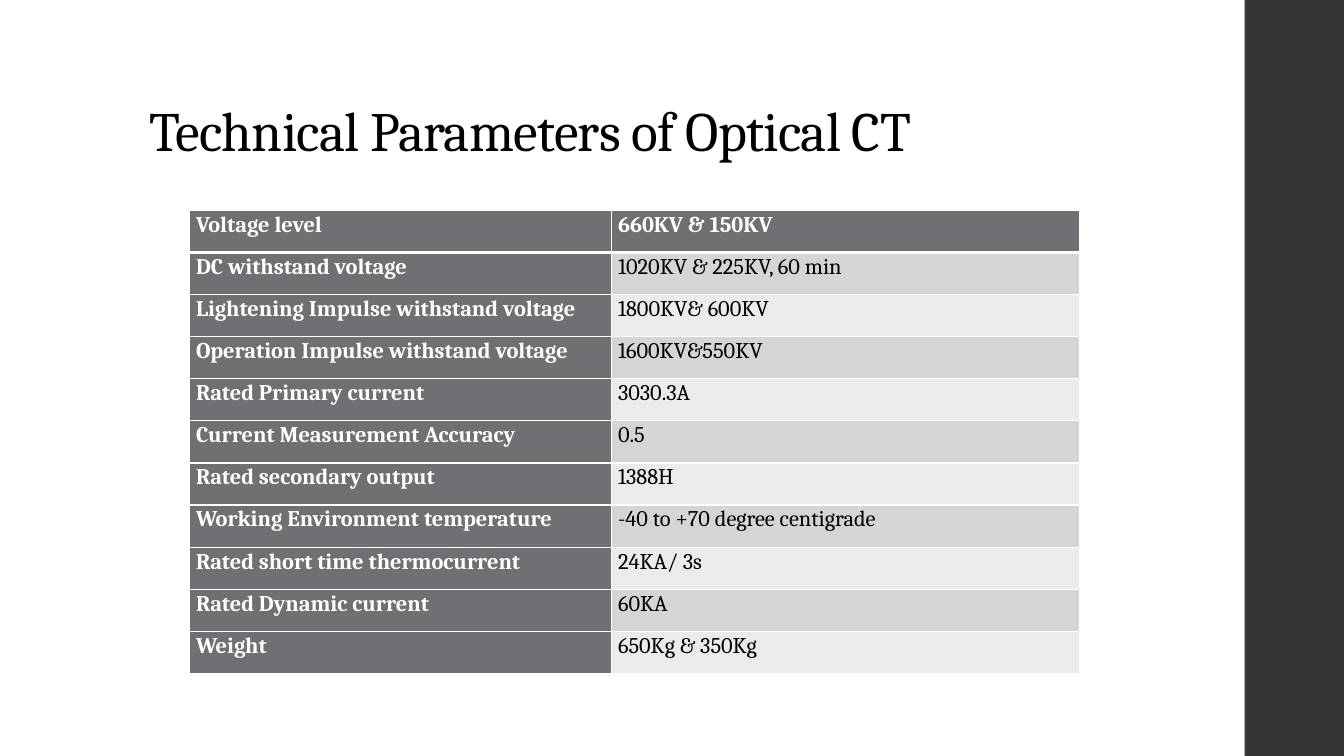
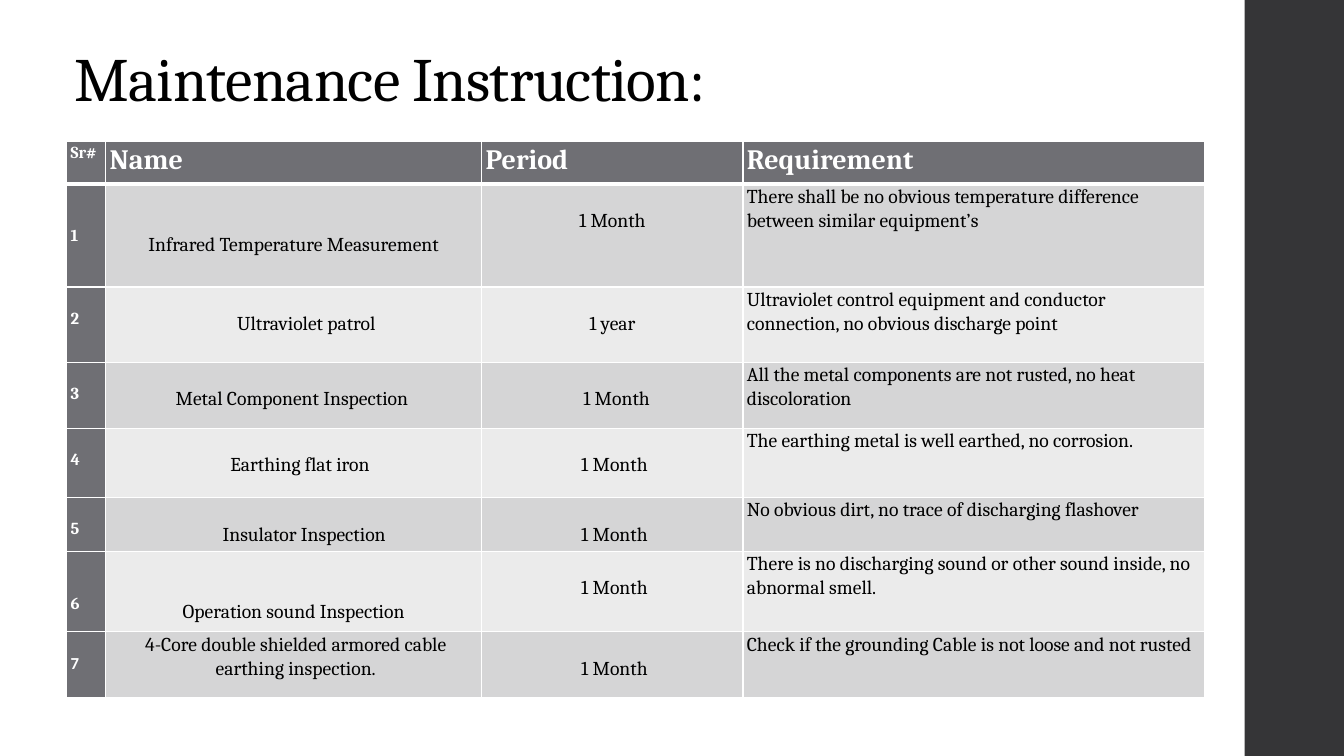
import pptx
import pptx.util
import pptx.dml.color
import pptx.enum.shapes
import pptx.enum.text
import pptx.oxml
import pptx.oxml.ns
from collections import namedtuple

Pt = pptx.util.Pt
ALIGN = pptx.enum.text.PP_ALIGN
ANCHOR = pptx.enum.text.MSO_ANCHOR

COLORS = {
    "paper": "FFFFFF",
    "ink": "000000",
    "band": "353537",
    "head": "6F6F74",
    "odd": "D5D5D6",
    "even": "EBEBEB",
}

STYLES = {
    "label": {"name": "Cambria", "size": Pt(16), "bold": True},
    "value": {"name": "Cambria", "size": Pt(16), "bold": False},
    "heading": {"name": "Cambria", "size": Pt(20), "bold": True},
    "index": {"name": "Cambria", "size": Pt(12), "bold": True},
    "plain_index": {"name": "Calibri", "size": Pt(12), "bold": True},
    "centred": {"name": "Cambria", "size": Pt(14), "bold": False},
    "detail": {"name": "Cambria", "size": Pt(14), "bold": False},
}
DARK_STYLES = {"label", "heading", "index", "plain_index"}
LINE_FACTOR = 1.235

Entry = namedtuple("Entry", "text style lines_down shift", defaults=(0, 0))

PARAMETERS = [
    ("Voltage level", "660KV & 150KV"),
    ("DC withstand voltage", "1020KV & 225KV, 60 min"),
    ("Lightening Impulse withstand voltage", "1800KV& 600KV"),
    ("Operation Impulse withstand voltage", "1600KV&550KV"),
    ("Rated Primary current", "3030.3A"),
    ("Current Measurement Accuracy", "0.5"),
    ("Rated secondary output", "1388H"),
    ("Working Environment temperature", "-40 to +70 degree centigrade"),
    ("Rated short time thermocurrent", "24KA/ 3s"),
    ("Rated Dynamic current", "60KA"),
    ("Weight", "650Kg & 350Kg"),
]

INSTRUCTIONS = [
    (Entry("1", "index", 2),
     Entry("Infrared Temperature Measurement", "centred", 2),
     Entry("1 Month", "centred", 1),
     "There shall be no obvious temperature difference between similar equipment’s"),
    (Entry("2", "index", 1),
     Entry("Ultraviolet patrol", "centred", 1, 18),
     Entry("1 year", "centred", 1),
     "Ultraviolet control equipment and conductor connection, no obvious discharge point"),
    (Entry("3", "index", 1),
     Entry("Metal Component Inspection", "centred", 1, -2.5),
     Entry("1 Month", "centred", 1, 6),
     "All the metal components are not rusted, no heat discoloration"),
    (Entry("4", "index", 1),
     Entry("Earthing flat iron", "centred", 1, 9),
     Entry("1 Month", "centred", 1, 3),
     "The earthing metal is well earthed, no corrosion."),
    (Entry("5", "index", 1),
     Entry("Insulator Inspection", "centred", 1, 15),
     Entry("1 Month", "centred", 1, 3),
     "No obvious dirt, no trace of discharging flashover"),
    (Entry("6", "index", 2),
     Entry("Operation sound Inspection", "centred", 2),
     Entry("1 Month", "centred", 1, 3),
     "There is no discharging sound or other sound inside, no abnormal smell."),
    (Entry("7", "plain_index", 1),
     Entry("4-Core double shielded armored cable earthing inspection.", "centred", 0, 3),
     Entry("1 Month", "centred", 1, 3),
     "Check if the grounding Cable is not loose and not rusted"),
]


def color(name):
    return pptx.dml.color.RGBColor.from_string(COLORS[name])


def apply_format(target, values):
    for name, value in values.items():
        setattr(target, name, value)


def paint(target, name):
    target.fill.solid()
    target.fill.fore_color.rgb = color(name)


def add_side_band(deck, page):
    band = page.shapes.add_shape(
        pptx.enum.shapes.MSO_SHAPE.RECTANGLE, Pt(889), Pt(0), Pt(71), Pt(540))
    band.shadow.inherit = False
    paint(band, "band")
    band.line.fill.background()
    deck.slide_master.shapes.element.insert(2, band.element)


def add_title(page, text, size, left, top, width, height):
    title = page.shapes.title
    apply_format(title, {"left": Pt(left), "top": Pt(top),
                         "width": Pt(width), "height": Pt(height)})
    frame = title.text_frame
    apply_format(frame, {"word_wrap": True, "vertical_anchor": ANCHOR.BOTTOM,
                         "auto_size": pptx.enum.text.MSO_AUTO_SIZE.NONE})
    para = frame.paragraphs[0]
    apply_format(para, {"alignment": ALIGN.LEFT, "line_spacing": 0.9})
    span = para.add_run()
    span.text = text
    apply_format(span.font, {"name": "Cambria", "size": Pt(size), "bold": False})
    span.font.color.rgb = color("ink")
    span.font._element.set("spc", "-50")


def add_borders(cell, widths):
    properties = cell._tc.get_or_add_tcPr()
    for position, (side, width) in enumerate(widths.items()):
        border = pptx.oxml.parse_xml(
            f'<a:ln{side} {pptx.oxml.ns.nsdecls("a")} w="{Pt(width)}"><a:solidFill>'
            f'<a:srgbClr val="{COLORS["paper"]}"/></a:solidFill></a:ln{side}>')
        properties.insert(position, border)


def fill_cell(cell, entry, row, inset):
    style = STYLES[entry.style]
    is_dark = row == 0 or entry.style in DARK_STYLES
    drop = entry.lines_down * style["size"].pt * LINE_FACTOR
    apply_format(cell, {"margin_left": Pt(inset + entry.shift), "margin_right": Pt(inset),
                        "margin_top": Pt(drop), "margin_bottom": Pt(0),
                        "vertical_anchor": ANCHOR.TOP})
    paint(cell, "head" if is_dark else "odd" if row % 2 else "even")
    add_borders(cell, {"L": 1, "R": 1, "T": 3 if row == 1 else 1, "B": 3 if row == 0 else 1})
    para = cell.text_frame.paragraphs[0]
    apply_format(para, {"line_spacing": 1.07,
                        "alignment": ALIGN.CENTER if entry.style == "centred" else ALIGN.LEFT})
    span = para.add_run()
    span.text = entry.text
    apply_format(span.font, style)
    span.font.color.rgb = color("paper" if is_dark else "ink")


def add_grid(page, entries, left, top, widths, heights, inset):
    grid = page.shapes.add_table(len(heights), len(widths), Pt(left), Pt(top),
                                 Pt(sum(widths)), Pt(sum(heights))).table
    apply_format(grid, {"first_row": False, "horz_banding": False})
    for column, width in zip(grid.columns, widths):
        column.width = Pt(width)
    for row, (line, height) in enumerate(zip(entries, heights)):
        grid.rows[row].height = Pt(height)
        for column, entry in enumerate(line):
            fill_cell(grid.cell(row, column), entry, row, inset)


def add_parameters(page):
    add_title(page, "Technical Parameters of Optical CT", 39.6, 99.5, 29, 663, 91.5)
    entries = [(Entry(label, "label"), Entry(value, "value" if row else "label"))
               for row, (label, value) in enumerate(PARAMETERS)]
    add_grid(page, entries, 135, 150.2, [301.5, 334.5], [30.1] * len(entries), 5)


def add_instructions(page):
    add_title(page, "Maintenance Instruction:", 44, 46, 21.5, 742, 64)
    header = [Entry("Sr#", "index")]
    header += [Entry(text, "heading") for text in ("Name", "Period", "Requirement")]
    entries = [header]
    entries += [(*cells, Entry(detail, "detail")) for *cells, detail in INSTRUCTIONS]
    add_grid(page, entries, 47.7, 101.2, [27.8, 268.7, 186.5, 329.8],
             [30.3, 73.5, 53.9, 47, 49.7, 38.2, 57.6, 47], 2.8)


def main():
    deck = pptx.Presentation()
    apply_format(deck, {"slide_width": Pt(960), "slide_height": Pt(540)})
    paint(deck.slide_master.background, "paper")
    layout = deck.slide_layouts.get_by_name("Title Only")
    pages = [deck.slides.add_slide(layout) for _ in range(2)]
    add_side_band(deck, pages[0])
    add_parameters(pages[0])
    add_instructions(pages[1])
    deck.save("out.pptx")


if __name__ == "__main__":
    main()
